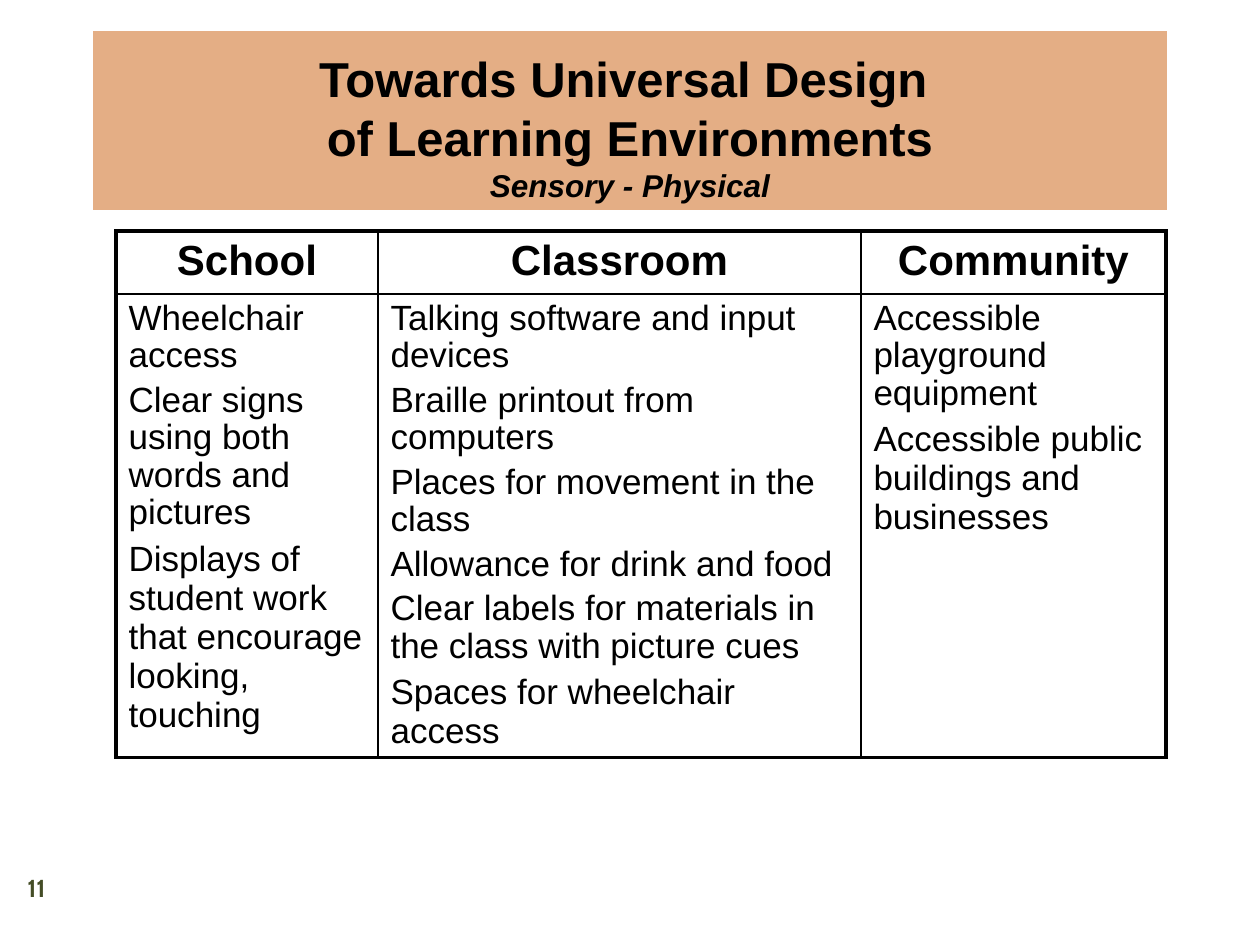
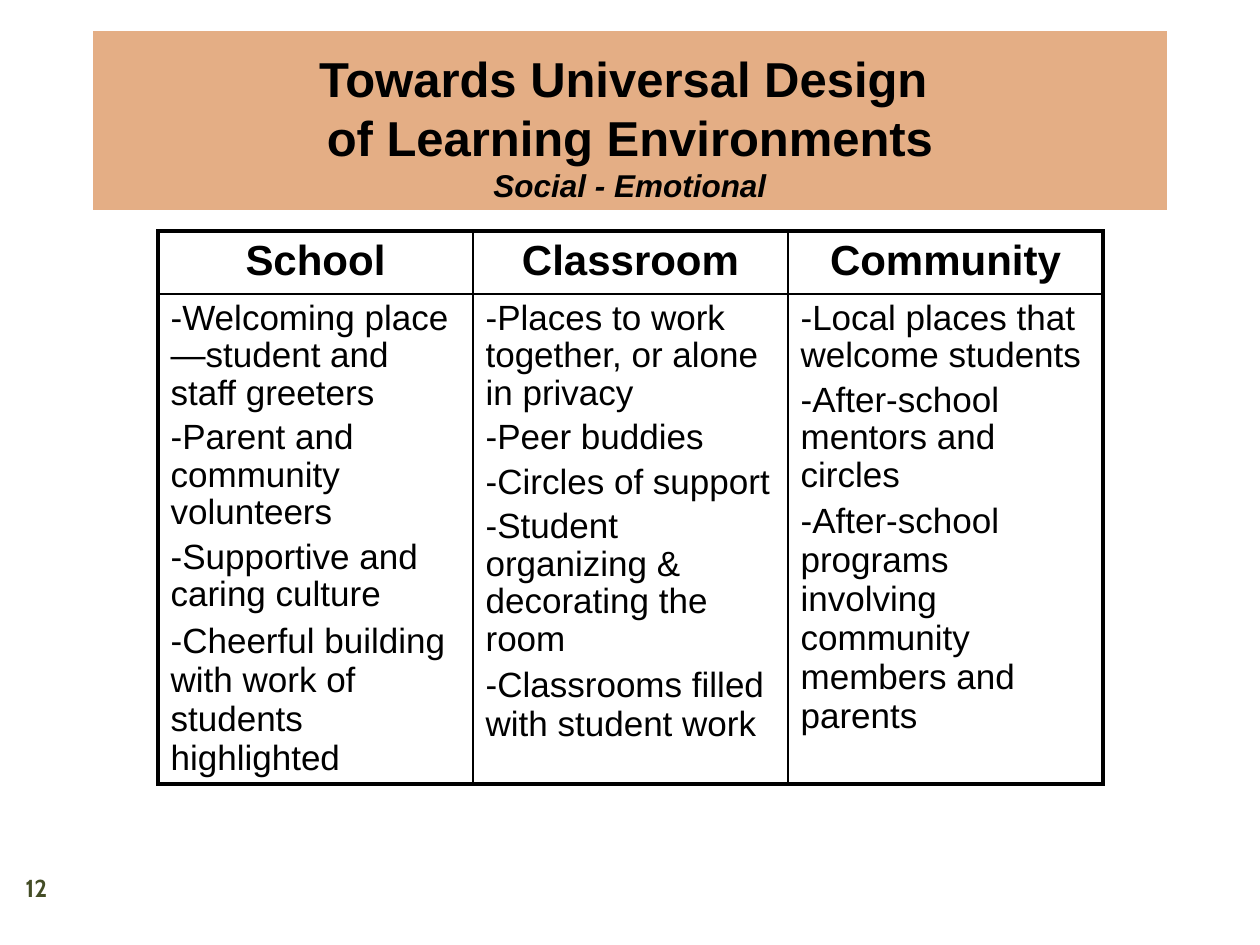
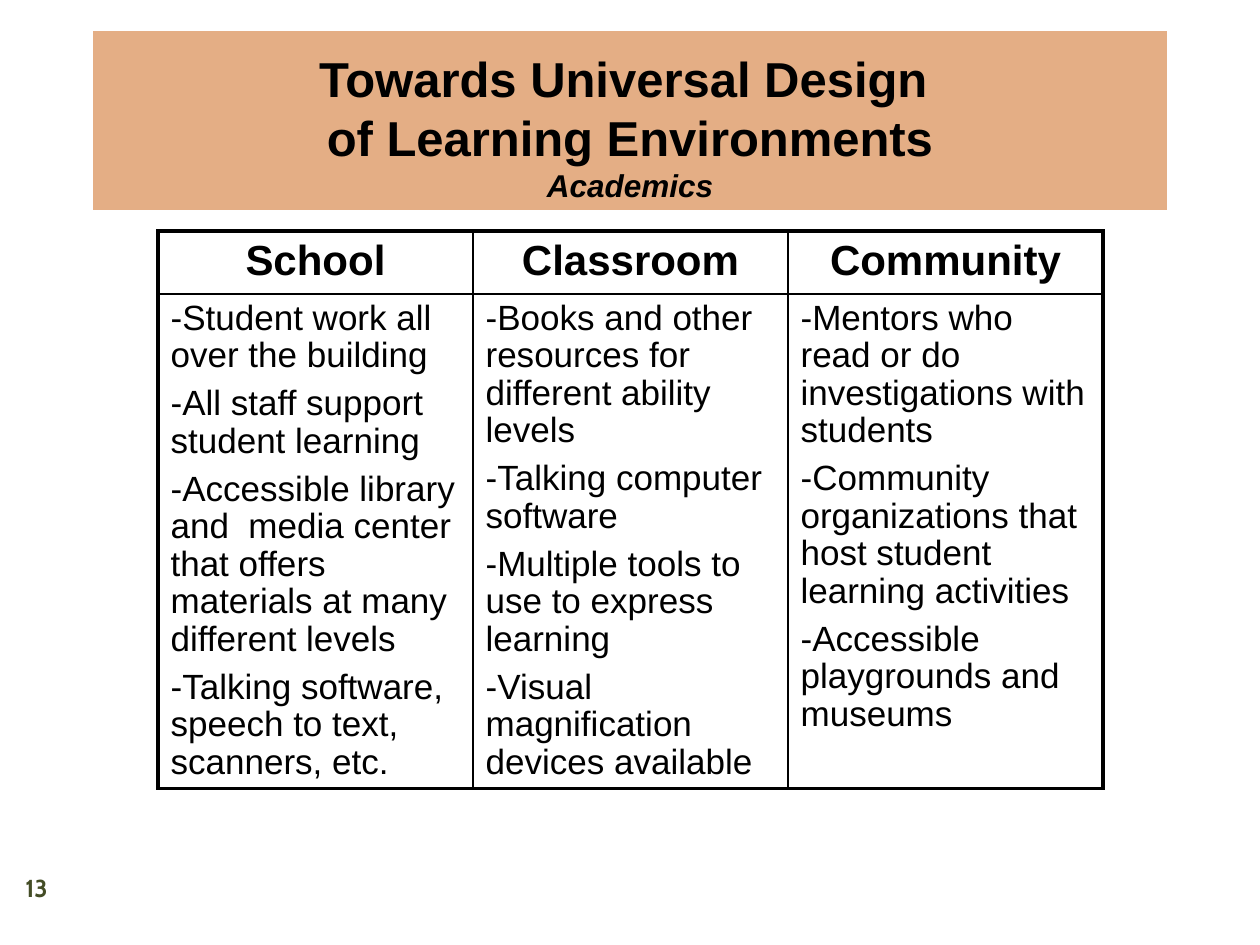
from dataclasses import dataclass

from lxml import etree
from pptx import Presentation
from pptx import util as u
from pptx.dml.color import RGBColor
from pptx.enum import text
from pptx.oxml.ns import qn

# Content
TITLE_LINES = ["Towards Universal Design ", "of Learning Environments"]
HEADINGS = ["School", "Classroom", "Community"]
FIRST_PAGE = 11

# Lengths in px; "loose_last" gives the last item of a cell single line spacing
SLIDES = [
    {
        "subtitle": "Sensory - Physical",
        "left": 116, "columns": [262, 483, 305], "height": 564,
        "item_gap": 4, "loose_last": True,
        "items": [
            ["Wheelchair access",
             "Clear signs using both words and pictures",
             "Displays of student work that encourage looking, touching"],
            ["Talking software and input devices",
             "Braille printout from computers",
             "Places for movement in the class",
             "Allowance for drink and food",
             "Clear labels for materials in the class with picture cues",
             "Spaces for wheelchair access"],
            ["Accessible playground equipment",
             "Accessible public buildings and businesses"],
        ],
    },
    {
        "subtitle": "Social - Emotional",
        "left": 158, "columns": [315] * 3, "height": 591,
        "item_gap": 4, "loose_last": True,
        "items": [
            ["-Welcoming place—student and staff greeters",
             "-Parent and community volunteers",
             "-Supportive and caring culture",
             "-Cheerful building with work of students highlighted"],
            ["-Places to work together, or alone in privacy",
             "-Peer buddies",
             "-Circles of support",
             "-Student organizing & decorating the room",
             "-Classrooms filled with student work"],
            ["-Local places that welcome students",
             "-After-school mentors and circles",
             "-After-school programs involving community members and parents"],
        ],
    },
    {
        "subtitle": "Academics",
        "left": 158, "columns": [315] * 3, "height": 591,
        "item_gap": 6, "loose_last": False,
        "items": [
            ["-Student work all over the building",
             "-All staff support student learning",
             "-Accessible library and  media center that offers materials "
             "at many different levels",
             "-Talking software, speech to text, scanners, etc."],
            ["-Books and other resources for different ability levels",
             "-Talking computer software",
             "-Multiple tools to use to express learning",
             "-Visual magnification devices available"],
            ["-Mentors who read or do investigations with students",
             "-Community organizations that host student learning activities",
             "-Accessible playgrounds and museums"],
        ],
    },
]


@dataclass(frozen=True)
class Theme:
    font: str = "Arial"
    page_font: str = "Cabin"
    ink: str = "000000"
    band: str = "E4AE85"
    page_ink: str = "444D26"
    title: int = 28
    subtitle: int = 18
    heading: int = 24
    body: int = 20
    page: int = 14
    outer_line: float = 2.25
    inner_line: float = 1


THEME = Theme()

# Shared layout in px
PX_PER_INCH = 126
TITLE_BOX = (93, 31, 1074, 179)
PAGE_BOX = (0, 861, 73, 53)
TABLE_TOP = 231
ROW_HEIGHTS = [63, 280]
HEADING_GAP, FIRST_ITEM_GAP = 4.8, 6
TIGHT_LINES = 0.96


def px(length):
    return u.Emu(round(length * u.Inches(1) / PX_PER_INCH))


def style(paragraph, size, bold=False, name=THEME.font, colour=THEME.ink):
    font = paragraph.font
    font.name, font.size, font.bold = name, u.Pt(size), bold
    font.color.rgb = RGBColor.from_string(colour)


def add_title(slide, subtitle):
    title = slide.shapes.title
    title.left, title.top, title.width, title.height = map(px, TITLE_BOX)
    title.fill.solid()
    title.fill.fore_color.rgb = RGBColor.from_string(THEME.band)
    frame = title.text_frame
    frame.vertical_anchor = text.MSO_ANCHOR.BOTTOM
    frame.auto_size = text.MSO_AUTO_SIZE.NONE
    paragraph = frame.paragraphs[0]
    paragraph.alignment = text.PP_ALIGN.CENTER
    style(paragraph, THEME.title, bold=True)
    for line in TITLE_LINES:
        paragraph.add_run().text = line
        paragraph.add_line_break()
    run = paragraph.add_run()
    run.text = subtitle
    run.font.size, run.font.italic = u.Pt(THEME.subtitle), True


def set_borders(cell, outer_sides):
    properties = cell._tc.get_or_add_tcPr()
    for side in "LRTB":
        width = THEME.outer_line if side in outer_sides else THEME.inner_line
        line = etree.SubElement(properties, qn(f"a:ln{side}"), w=str(u.Pt(width)))
        fill = etree.SubElement(line, qn("a:solidFill"))
        etree.SubElement(fill, qn("a:srgbClr"), val=THEME.ink)


def fill_heading(cell, heading):
    paragraph = cell.text_frame.paragraphs[0]
    paragraph.text = heading
    paragraph.alignment = text.PP_ALIGN.CENTER
    paragraph.space_before = u.Pt(HEADING_GAP)
    style(paragraph, THEME.heading, bold=True)


def fill_items(cell, items, gap, loose_last):
    frame = cell.text_frame
    for index, item in enumerate(items):
        paragraph = frame.add_paragraph() if index else frame.paragraphs[0]
        paragraph.text = item
        paragraph.space_before = u.Pt(gap if index else FIRST_ITEM_GAP)
        if not (loose_last and index == len(items) - 1):
            paragraph.line_spacing = TIGHT_LINES
        style(paragraph, THEME.body)


def add_comparison_table(slide, content):
    widths = content["columns"]
    frame = slide.shapes.add_table(
        len(ROW_HEIGHTS), len(widths), px(content["left"]), px(TABLE_TOP),
        px(sum(widths)), px(content["height"]))
    table = frame.table
    table.first_row = table.horz_banding = False
    for row, height in zip(table.rows, ROW_HEIGHTS):
        row.height = px(height)
    for index, width in enumerate(widths):
        table.columns[index].width = px(width)
        heading_cell, items_cell = table.cell(0, index), table.cell(1, index)
        sides = "L" * (index == 0) + "R" * (index == len(widths) - 1)
        for cell, edge in ((heading_cell, "T"), (items_cell, "B")):
            set_borders(cell, sides + edge)
            cell.fill.background()
        fill_heading(heading_cell, HEADINGS[index])
        fill_items(items_cell, content["items"][index],
                   content["item_gap"], content["loose_last"])
    frame.height = px(content["height"])


def add_page_number(slide, number):
    frame = slide.shapes.add_textbox(*map(px, PAGE_BOX)).text_frame
    frame.word_wrap = True
    frame.vertical_anchor = text.MSO_ANCHOR.MIDDLE
    paragraph = frame.paragraphs[0]
    paragraph.text = str(number)
    paragraph.alignment = text.PP_ALIGN.CENTER
    style(paragraph, THEME.page, True, THEME.page_font, THEME.page_ink)


def main():
    presentation = Presentation()
    presentation.slide_width, presentation.slide_height = u.Inches(10), u.Inches(7.5)
    title_only = presentation.slide_layouts.get_by_name("Title Only")
    for number, content in enumerate(SLIDES, FIRST_PAGE):
        slide = presentation.slides.add_slide(title_only)
        add_title(slide, content["subtitle"])
        add_comparison_table(slide, content)
        add_page_number(slide, number)
    presentation.save("out.pptx")


if __name__ == "__main__":
    main()
